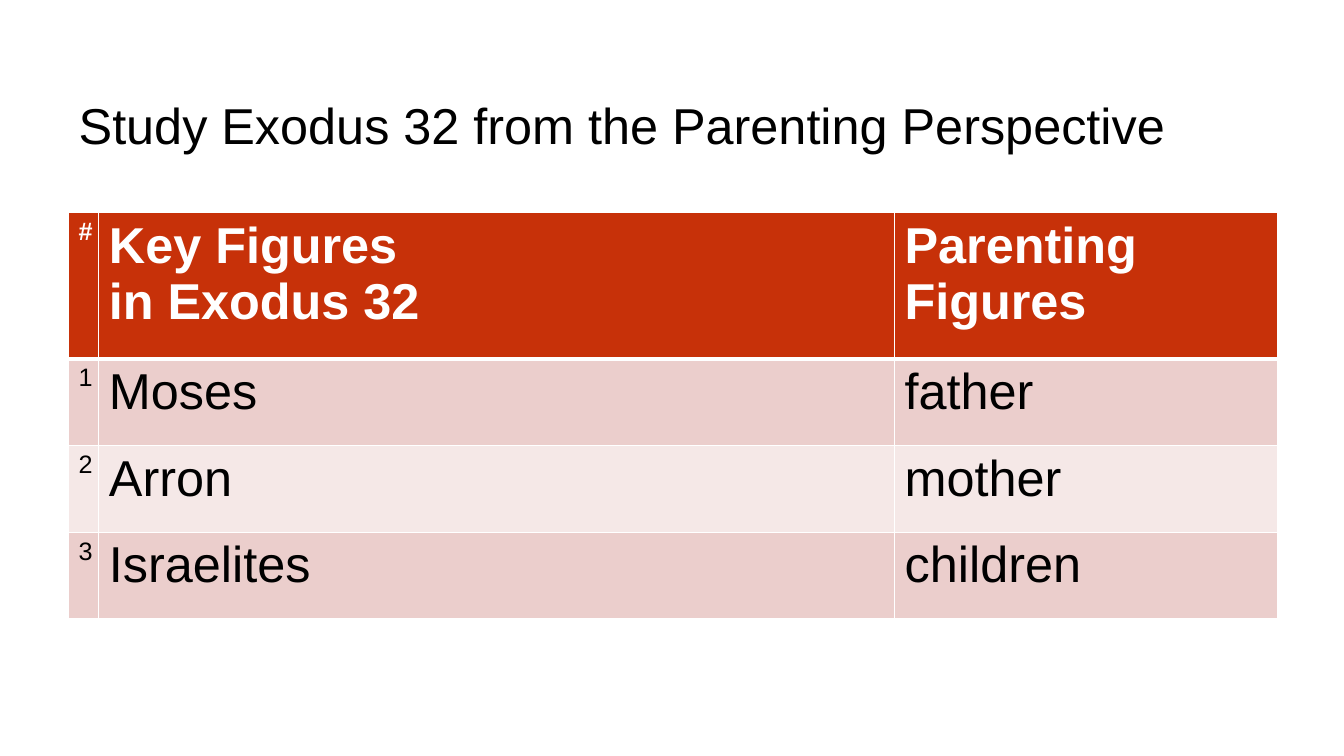
from dataclasses import dataclass

from lxml.etree import SubElement
from pptx import Presentation
from pptx.dml.color import RGBColor
from pptx.enum.text import MSO_ANCHOR, MSO_AUTO_SIZE, PP_ALIGN
from pptx.oxml.ns import qn
from pptx.util import Pt


@dataclass(frozen=True)
class Theme:
    face: str = "Arial"
    big: int = 36
    small: int = 18
    black: str = "000000"
    white: str = "FFFFFF"
    head: str = "C73109"
    bands: tuple = ("EBCECC", "F5E8E7")
    thin: int = 1
    thick: int = 3


THEME = Theme()
TITLE = "Study Exodus 32 from the Parenting Perspective"
ROWS = (
    ("#", "Key Figures\nin Exodus 32", "Parenting Figures"),
    ("1", "Moses", "father"),
    ("2", "Arron", "mother"),
    ("3", "Israelites", "children"),
)
WIDTHS = (21.6, 568.4, 273.6)
TALL, SHORT = 104.4, 61.9
LEFT = 49


def apply(item, values):
    for name, value in values.items():
        setattr(item, name, value)


def write(frame, text, size, color, bold=False):
    frame.text = text
    for para in frame.paragraphs:
        para.alignment = PP_ALIGN.LEFT
        apply(para.font, {"name": THEME.face, "size": Pt(size), "bold": bold})
        para.font.color.rgb = RGBColor.from_string(color)


def edge(cell, side, width):
    line = SubElement(cell._tc.get_or_add_tcPr(), qn(f"a:ln{side}"), w=str(Pt(width)))
    fill = SubElement(line, qn("a:solidFill"))
    SubElement(fill, qn("a:srgbClr"), val=THEME.white)


def add_title(slide):
    title = slide.shapes.title
    apply(title, {"left": Pt(LEFT), "top": Pt(66), "width": Pt(864), "height": Pt(46)})
    frame = title.text_frame
    apply(frame, {
        "word_wrap": True,
        "auto_size": MSO_AUTO_SIZE.NONE,
        "vertical_anchor": MSO_ANCHOR.MIDDLE,
    })
    write(frame, TITLE, THEME.big, THEME.black)


def style_cell(cell, text, row, col):
    head = row == 0
    size = THEME.small if col == 0 else THEME.big
    write(cell.text_frame, text, size, THEME.white if head else THEME.black, head)
    for side in "LRTB":
        heavy = (side, row) in (("B", 0), ("T", 1))
        edge(cell, side, THEME.thick if heavy else THEME.thin)
    cell.fill.solid()
    color = THEME.head if head else THEME.bands[(row - 1) % 2]
    cell.fill.fore_color.rgb = RGBColor.from_string(color)


def add_grid(slide):
    highs = [TALL] + [SHORT] * (len(ROWS) - 1)
    grid = slide.shapes.add_table(
        len(ROWS), len(WIDTHS), Pt(LEFT), Pt(152), Pt(sum(WIDTHS)), Pt(sum(highs))
    ).table
    grid.horz_banding = False
    for col, width in zip(grid.columns, WIDTHS):
        col.width = Pt(width)
    for row, high in zip(grid.rows, highs):
        row.height = Pt(high)
    for row, texts in enumerate(ROWS):
        for col, text in enumerate(texts):
            style_cell(grid.cell(row, col), text, row, col)


def main():
    deck = Presentation()
    apply(deck, {"slide_width": Pt(960), "slide_height": Pt(540)})
    slide = deck.slides.add_slide(deck.slide_layouts.get_by_name("Title Only"))
    add_title(slide)
    add_grid(slide)
    deck.save("out.pptx")


if __name__ == "__main__":
    main()
